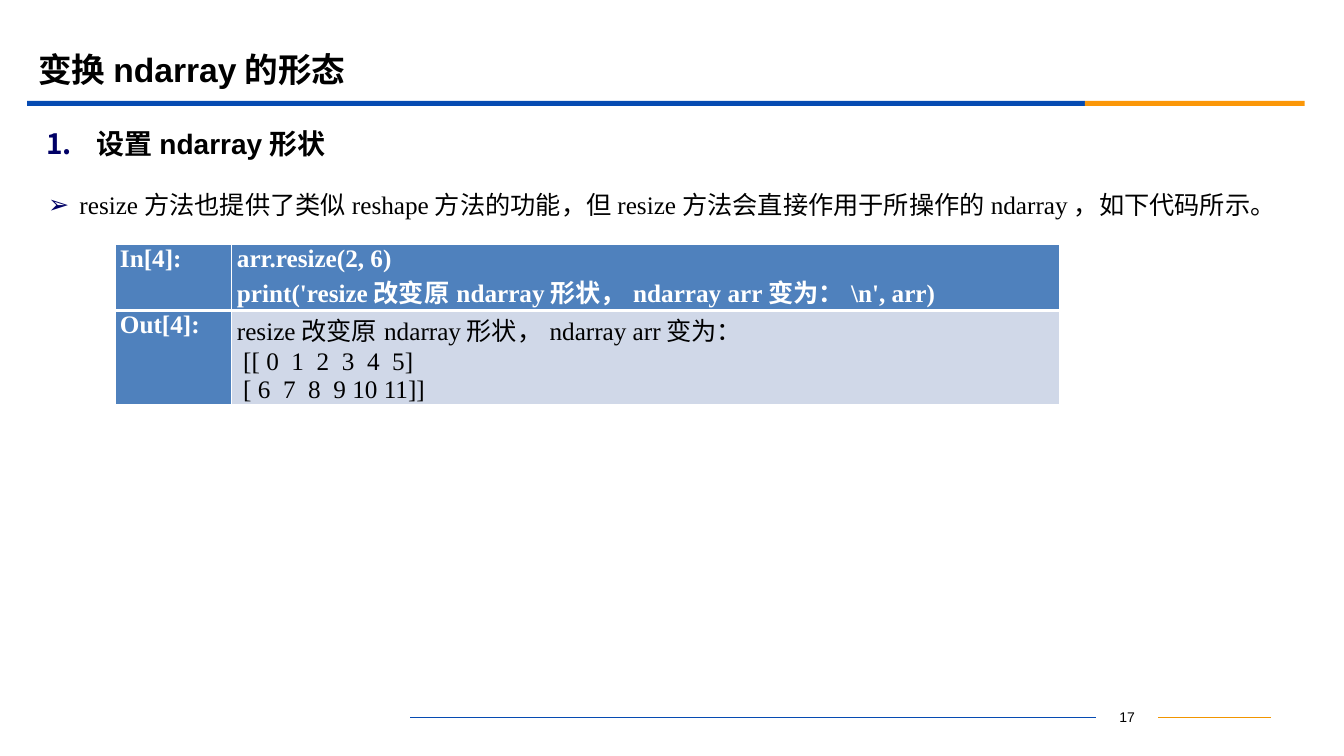
from lxml.etree import SubElement
from pptx import Presentation
from pptx.dml.color import RGBColor
from pptx.enum.shapes import MSO_CONNECTOR, MSO_SHAPE
from pptx.enum.text import MSO_ANCHOR, PP_ALIGN
from pptx.oxml.ns import qn
from pptx.util import Inches, Pt

COLORS = {
    "blue": "064BB2", "orange": "FB9708", "amber": "F19500",
    "navy": "000066", "head": "4F81BD", "pale": "D0D8E8",
    "black": "000000", "white": "FFFFFF",
}
SERIF = "Times New Roman"


def color(name):
    """Return the named colour."""
    return RGBColor.from_string(COLORS[name])


class Page:
    """Holds the style and the current slide."""

    def __init__(self, slide):
        """Keep the slide to draw on."""
        self.shapes = slide.shapes

    def style(self, frame, size, font="Arial", tint="black", bold=False):
        """Format every run of a text frame."""
        for para in frame.paragraphs:
            for run in para.runs:
                run.font.size, run.font.name = Pt(size), font
                run.font.bold = bold
                run.font.color.rgb = color(tint)

    def text(self, box, words, size, **look):
        """Add a one-paragraph text box and return its paragraph."""
        frame = self.shapes.add_textbox(*map(Inches, box)).text_frame
        frame.word_wrap = True
        frame.vertical_anchor = MSO_ANCHOR.MIDDLE
        frame.text = words
        self.style(frame, size, **look)
        return frame.paragraphs[0]

    def bullet(self, para, indent, tag, **marks):
        """Give a paragraph a hanging navy bullet."""
        para.space_before = Pt(4)
        props = para._p.get_or_add_pPr()
        props.set("marL", str(Inches(indent)))
        props.set("indent", str(Inches(-indent)))
        tint = SubElement(props, qn("a:buClr"))
        SubElement(tint, qn("a:srgbClr"), val=COLORS["navy"])
        SubElement(props, qn("a:buFont"), typeface="Arial")
        SubElement(props, qn(tag), **marks)

    def bar(self, box, tint):
        """Add a plain filled rectangle."""
        shape = self.shapes.add_shape(MSO_SHAPE.RECTANGLE, *map(Inches, box))
        shape.shadow.inherit = False
        shape.fill.solid()
        shape.fill.fore_color.rgb = color(tint)
        shape.line.fill.background()

    def rule(self, left, right, top, tint):
        """Add a thin level line."""
        ends = map(Inches, (left, top, right, top))
        line = self.shapes.add_connector(MSO_CONNECTOR.STRAIGHT, *ends)
        line.line.color.rgb = color(tint)
        line.line.width = Pt(0.75)
        SubElement(line._element.spPr, qn("a:effectLst"))

    def border(self, cell, base):
        """Draw white edges, with the given width at the bottom."""
        props = cell._tc.get_or_add_tcPr()
        for spot, side in enumerate("LRTB"):
            width = Pt(base if side == "B" else 1)
            edge = SubElement(props, qn("a:ln" + side), w=str(width))
            fill = SubElement(edge, qn("a:solidFill"))
            SubElement(fill, qn("a:srgbClr"), val=COLORS["white"])
            props.insert(spot, edge)

    def cell(self, cell, words, fill, tint, bold):
        """Fill and format one table cell."""
        cell.text_frame.text = words
        self.style(cell.text_frame, 18, SERIF, tint, bold)
        cell.margin_left = cell.margin_right = Inches(0.05)
        cell.margin_top = cell.margin_bottom = Inches(0.01)
        cell.fill.solid()
        cell.fill.fore_color.rgb = color(fill)

    def table(self, box, widths, heights, rows):
        """Add a code table: labels on the left, code and result right."""
        size = len(rows), len(widths)
        grid = self.shapes.add_table(*size, *map(Inches, box)).table
        for col, width in zip(grid.columns, widths):
            col.width = Inches(width)
        for row, height in zip(grid.rows, heights):
            row.height = Inches(height)
        for r, row in enumerate(rows):
            for c, words in enumerate(row):
                cell, plain = grid.cell(r, c), r > 0 and c > 0
                fill, tint = ("pale", "black") if plain else ("head", "white")
                self.cell(cell, words, fill, tint, not plain)
                if plain:
                    cell.vertical_anchor = MSO_ANCHOR.MIDDLE
                self.border(cell, 1 if r else 3)


def main():
    """Build the slide and save it."""
    deck = Presentation()
    deck.slide_width, deck.slide_height = Inches(13.33), Inches(7.5)
    page = Page(deck.slides.add_slide(deck.slide_layouts[6]))

    number = page.text((10.87, 6.99, 0.62, 0.25), "17", 10)
    number.alignment = PP_ALIGN.CENTER
    page.rule(11.49, 12.61, 7.12, "amber")
    page.rule(4.07, 10.87, 7.12, "blue")
    page.bar((0.27, 1, 10.49, 0.05), "blue")
    page.bar((10.76, 1, 2.18, 0.05), "orange")

    page.text((0.28, 0.39, 12, 0.58), "变换ndarray的形态", 24, bold=True)
    topic = page.text((0.36, 1.19, 12.15, 0.47), "设置ndarray形状", 20,
                      bold=True)
    page.bullet(topic, 0.5, "a:buAutoNum", type="arabicPeriod")
    note = page.text(
        (0.38, 1.64, 12.58, 0.78),
        "resize方法也提供了类似reshape方法的功能，但resize方法会直接"
        "作用于所操作的ndarray，如下代码所示。", 18, font=SERIF)
    page.bullet(note, 0.31, "a:buChar", char="➢")

    result = "resize改变原ndarray形状，ndarray arr变为："
    code = f"arr.resize(2, 6)\nprint('{result}\\n', arr)"
    output = f"{result}\n [[ 0  1  2  3  4  5]\n [ 6  7  8  9 10 11]]"
    page.table((1.14, 2.42, 9.37, 1.59), (1.16, 8.21), (0.66, 0.93),
               (("In[4]:", code), ("Out[4]:", output)))
    deck.save("out.pptx")


main()
